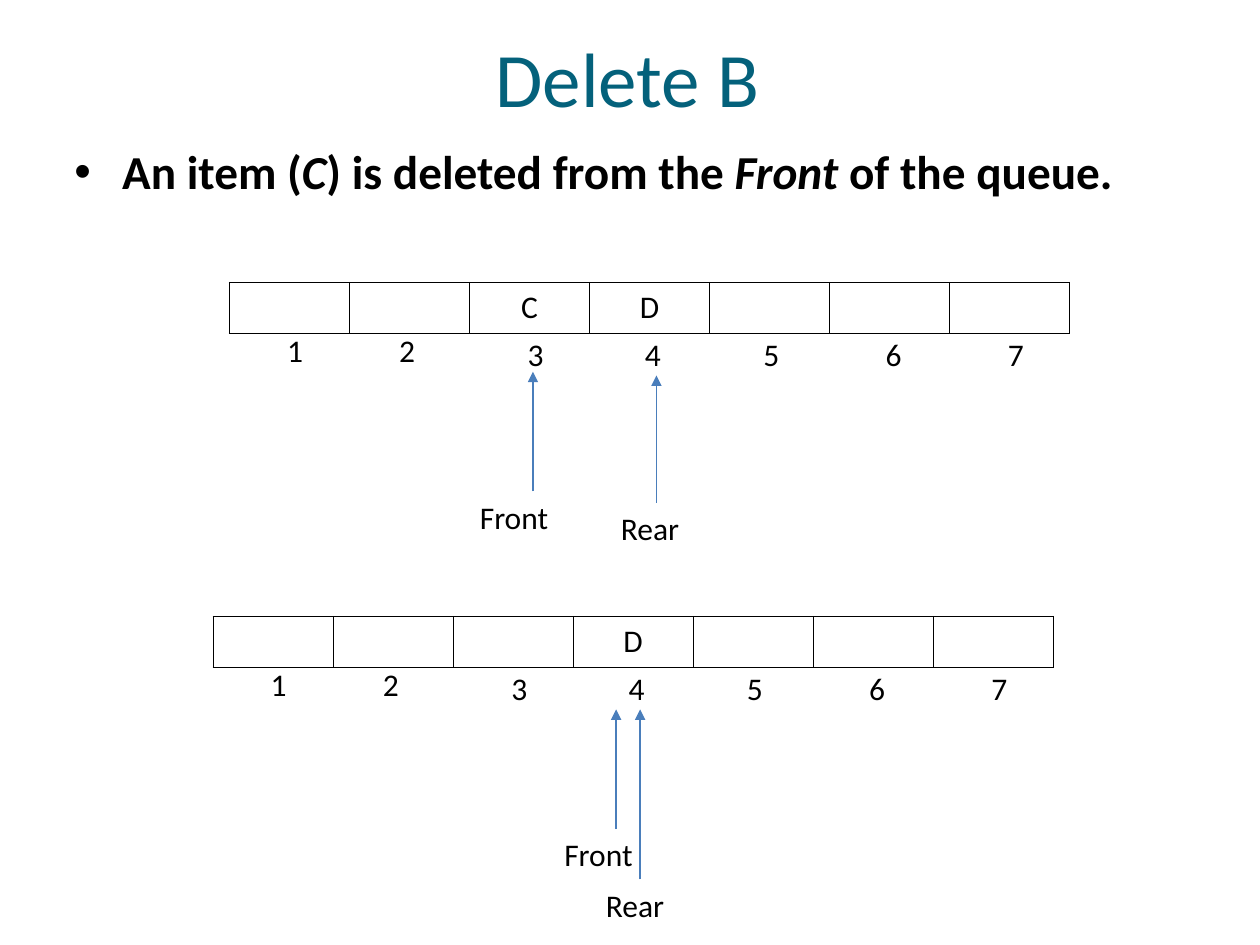
from dataclasses import dataclass

from lxml.etree import SubElement
from pptx import Presentation
from pptx.dml.color import RGBColor
from pptx.enum.shapes import MSO_CONNECTOR
from pptx.enum.text import MSO_ANCHOR, MSO_AUTO_SIZE, PP_ALIGN
from pptx.oxml.ns import qn
from pptx.util import Inches, Pt


@dataclass(frozen=True)
class Theme:
    """Colours, font and sizes of the slide."""
    face: str = "Calibri"
    heading: str = "04617B"
    ink: str = "000000"
    arrow: str = "4A7EBB"
    title_size: float = 44
    body_size: float = 27
    label_size: float = 18
    border: float = 0.45
    arrow_width: float = 0.75


THEME = Theme()
CELL_WIDTH = 6.67 / 7
INDEX_OFFSETS = [(0.36, 0.34), (1.25, 0.34), (2.27, 0.37), (3.2, 0.37),
                 (4.14, 0.37), (5.11, 0.37), (6.08, 0.37)]


def set_values(target, values):
    """Set each attribute of target from a dict of format values."""
    for name, value in values.items():
        setattr(target, name, value)


def place(part, box):
    """Move a part to a box given in inches."""
    edges = ("left", "top", "width", "height")
    set_values(part, dict(zip(edges, map(Inches, box))))


def add_run(paragraph, wording, size, colour=THEME.ink, **styles):
    """Add a run in the theme font."""
    run = paragraph.add_run()
    run.text = wording
    set_values(run.font, {"name": THEME.face, "size": Pt(size), **styles})
    run.font.color.rgb = RGBColor.from_string(colour)


def fill_title(title, box, wording):
    """Place and format the heading."""
    place(title, box)
    set_values(title.text_frame, {"vertical_anchor": MSO_ANCHOR.MIDDLE,
                                  "auto_size": MSO_AUTO_SIZE.NONE})
    paragraph = title.text_frame.paragraphs[0]
    paragraph.alignment = PP_ALIGN.CENTER
    add_run(paragraph, wording, THEME.title_size, THEME.heading)


def fill_statement(body, box, phrases):
    """Place the bulleted statement, built from (wording, italic) phrases."""
    place(body, box)
    body.text_frame.auto_size = MSO_AUTO_SIZE.NONE
    paragraph = body.text_frame.paragraphs[0]
    set_values(paragraph, {"line_spacing": 0.9, "space_before": Pt(0)})
    properties = paragraph._p.get_or_add_pPr()
    properties.set("marL", str(Inches(0.38)))
    properties.set("indent", str(Inches(-0.38)))
    bullet_colour = SubElement(properties, qn("a:buClr"))
    SubElement(bullet_colour, qn("a:srgbClr"), val=THEME.ink)
    SubElement(properties, qn("a:buFont"), typeface="Arial")
    SubElement(properties, qn("a:buChar"), char="•")
    for wording, italic in phrases:
        add_run(paragraph, wording, THEME.body_size, bold=True, italic=italic)


def add_label(slide, left, top, width, wording):
    """Add a small caption."""
    caption = slide.shapes.add_textbox(*map(Inches, (left, top, width, 0.4)))
    caption.text_frame.word_wrap = True
    add_run(caption.text_frame.paragraphs[0], wording, THEME.label_size)


def add_pointer(slide, x, tip, base, name, label_left):
    """Add an upward arrow with its name below."""
    arrow = slide.shapes.add_connector(
        MSO_CONNECTOR.STRAIGHT, *map(Inches, (x, base, x, tip)))
    arrow.line.color.rgb = RGBColor.from_string(THEME.arrow)
    arrow.line.width = Pt(THEME.arrow_width)
    SubElement(arrow.line._get_or_add_ln(), qn("a:tailEnd"), type="triangle")
    SubElement(arrow._element.spPr, qn("a:effectLst"))
    add_label(slide, label_left, base, 1.02, name)


def outline_cell(cell):
    """Draw the four thin borders of a cell and clear its fill."""
    properties = cell._tc.get_or_add_tcPr()
    for side in ("lnL", "lnR", "lnT", "lnB"):
        line = SubElement(properties, qn(f"a:{side}"), w=str(Pt(THEME.border)))
        SubElement(SubElement(line, qn("a:solidFill")), qn("a:srgbClr"), val=THEME.ink)
    cell.fill.background()


def add_queue(slide, box, items, pointers):
    """Draw a queue with its items, cell numbers and pointers."""
    left, top, width, height = box
    queue = slide.shapes.add_table(1, len(items), *map(Inches, box)).table
    set_values(queue, {"first_row": False, "horz_banding": False})
    for column, item in enumerate(items):
        queue.columns[column].width = Inches(CELL_WIDTH)
        cell = queue.cell(0, column)
        outline_cell(cell)
        if item.strip():
            paragraph = cell.text_frame.paragraphs[0]
            paragraph.alignment = PP_ALIGN.CENTER
            add_run(paragraph, item, THEME.label_size)
    for number, (across, down) in enumerate(INDEX_OFFSETS, 1):
        add_label(slide, left + across, top + down, 0.33, str(number))
    for pointer in pointers:
        add_pointer(slide, *pointer)


def main():
    """Build and save the slide."""
    deck = Presentation()
    set_values(deck, {"slide_width": Inches(10), "slide_height": Inches(7.5)})
    slide = deck.slides.add_slide(deck.slide_layouts[1])
    fill_title(slide.shapes.title, (0.48, 0.08, 9, 1.06), "Delete B")
    fill_statement(slide.placeholders[1], (0.49, 1.13, 9.17, 0.67), [
        ("An item (", False), ("C", True), (") is deleted from the ", False),
        ("Front ", True), ("of the queue.", False)])
    add_queue(slide, (1.82, 2.24, 6.67, 0.4), "  CD   ", [
        (4.23, 2.95, 3.9, "Front", 3.71), (5.21, 2.98, 3.99, "Rear", 4.83)])
    add_queue(slide, (1.69, 4.89, 6.67, 0.41), "   D   ", [
        (4.89, 5.63, 6.58, "Front", 4.38), (5.08, 5.63, 6.98, "Rear", 4.71)])
    deck.save("out.pptx")


if __name__ == "__main__":
    main()
